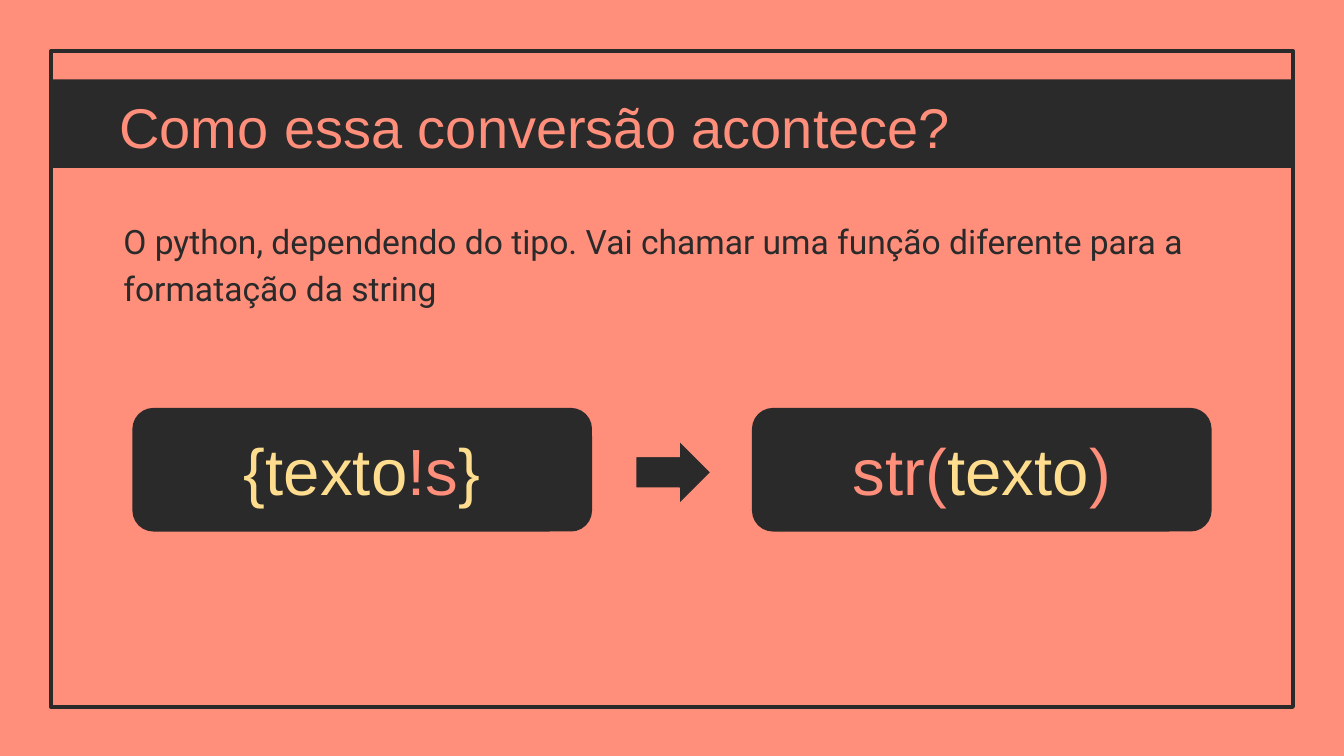
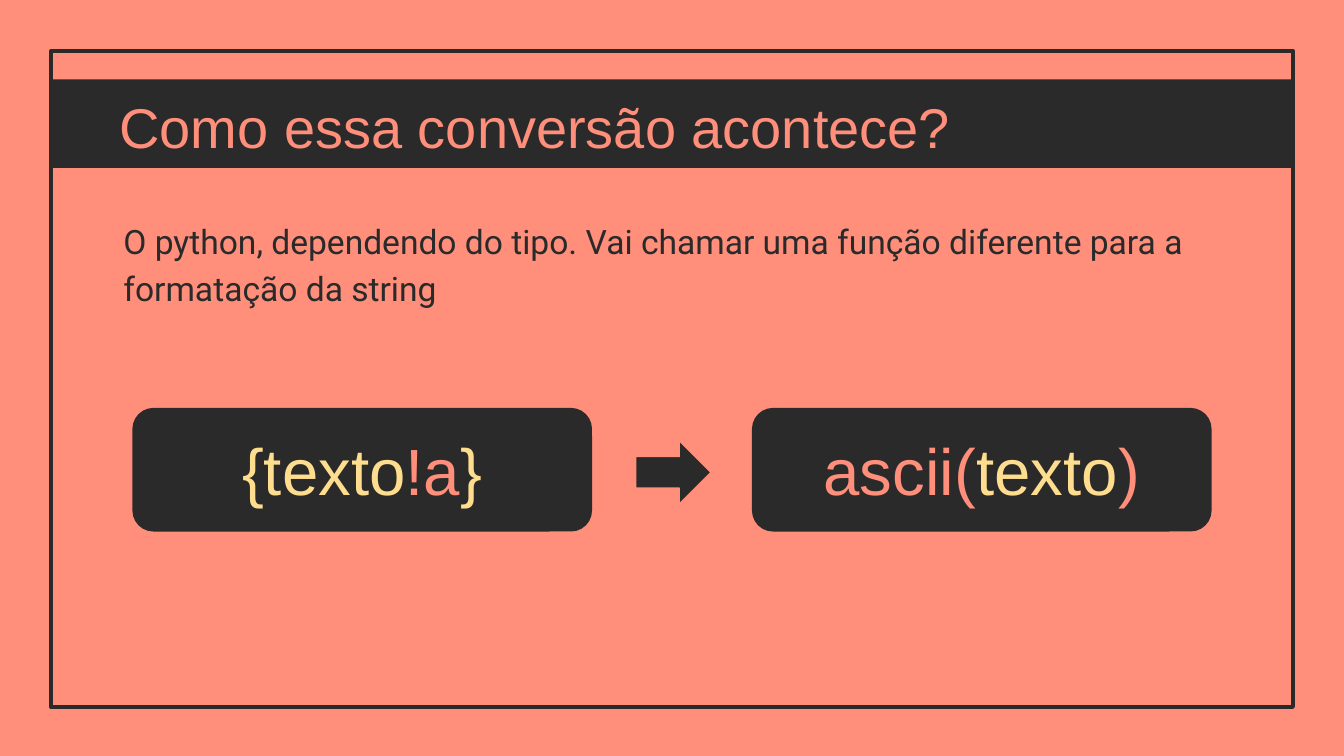
from pptx import Presentation
from pptx.dml.color import RGBColor
from pptx.enum.shapes import MSO_SHAPE
from pptx.enum.text import MSO_ANCHOR, PP_ALIGN
from pptx.util import Inches, Pt

RECT = MSO_SHAPE.RECTANGLE
ROUND = MSO_SHAPE.ROUNDED_RECTANGLE
ARROW = MSO_SHAPE.RIGHT_ARROW
TOP, MIDDLE = MSO_ANCHOR.TOP, MSO_ANCHOR.MIDDLE
LEFT, CENTER = PP_ALIGN.LEFT, PP_ALIGN.CENTER

CORAL, DARK, GOLD = "FF8E7B", "2A2A2A", "FEDD8E"
HEAD, BODY = "Arial", "Roboto"

TITLE = "Como essa conversão acontece?"
INTRO = ("O python, dependendo do tipo. Vai chamar uma função diferente "
         "para a formatação da string")
CASES = [("!s", "str"), ("!a", "ascii")]


def color(code):
    return RGBColor.from_string(code)


def add_box(slide, kind, box, fill=None, line=None, width=0.75):
    shape = slide.shapes.add_shape(kind, *map(Inches, box))
    shape.shadow.inherit = False
    if fill:
        shape.fill.solid()
        shape.fill.fore_color.rgb = color(fill)
    else:
        shape.fill.background()
    if line:
        shape.line.color.rgb = color(line)
        shape.line.width = Pt(width)
    else:
        shape.line.fill.background()
    return shape


def write(shape, parts, size, font, align=LEFT, anchor=TOP):
    """Fill a shape with one paragraph of (text, colour) parts."""
    frame = shape.text_frame
    frame.word_wrap = True
    frame.vertical_anchor = anchor
    frame.margin_left = frame.margin_right = Inches(0.1)
    frame.margin_top = frame.margin_bottom = Inches(0.1)
    para = frame.paragraphs[0]
    para.alignment = align
    for text, tint in parts:
        run = para.add_run()
        run.text = text
        run.font.size = Pt(size)
        run.font.name = font
        run.font.color.rgb = color(tint)
    return para


def add_text(slide, box, text, size, font, tint):
    label = slide.shapes.add_textbox(*map(Inches, box))
    return write(label, [(text, tint)], size, font)


def add_frame(slide, box):
    """Draw the border with the title band across it."""
    left, top, width, _ = box
    slide.background.fill.solid()
    slide.background.fill.fore_color.rgb = color(CORAL)
    add_box(slide, RECT, box, line=DARK, width=2.25)
    band = top + 0.21
    add_box(slide, RECT, (left, band, width, 0.66), fill=DARK)
    add_text(slide, (left + 0.41, band, 6.82, 0.66), TITLE, 30, HEAD, CORAL)


def add_intro(slide, box):
    para = add_text(slide, box, INTRO, 18, BODY, DARK)
    para.line_spacing = 1.15
    para.space_after = Pt(16)


def add_flow(slide, box, flag, func):
    """Place two code cards at the ends of the box, an arrow between."""
    left, top, width, height = box
    card = 3.41
    before = [("{texto", GOLD), (flag, CORAL), ("}", GOLD)]
    after = [(func + "(", CORAL), ("texto", GOLD), (")", CORAL)]
    for x, parts in ((left, before), (left + width - card, after)):
        shape = add_box(slide, ROUND, (x, top, card, height), DARK, DARK)
        write(shape, parts, 35, HEAD, CENTER, MIDDLE)
    wide, high = 0.56, 0.47
    spot = (left + (width - wide) / 2 + 0.01, top + (height - high) / 2 + 0.02,
            wide, high)
    add_box(slide, ARROW, spot, DARK, CORAL)


def add_case(deck, flag, func):
    slide = deck.slides.add_slide(deck.slide_layouts[6])
    add_frame(slide, (0.38, 0.38, 9.24, 4.88))
    add_intro(slide, (0.82, 1.5, 8.37, 3.48))
    add_flow(slide, (0.99, 3.04, 8.02, 0.91), flag, func)


def main():
    deck = Presentation()
    deck.slide_width = Inches(10)
    deck.slide_height = deck.slide_width * 9 // 16
    for flag, func in CASES:
        add_case(deck, flag, func)
    deck.save("out.pptx")


if __name__ == "__main__":
    main()
